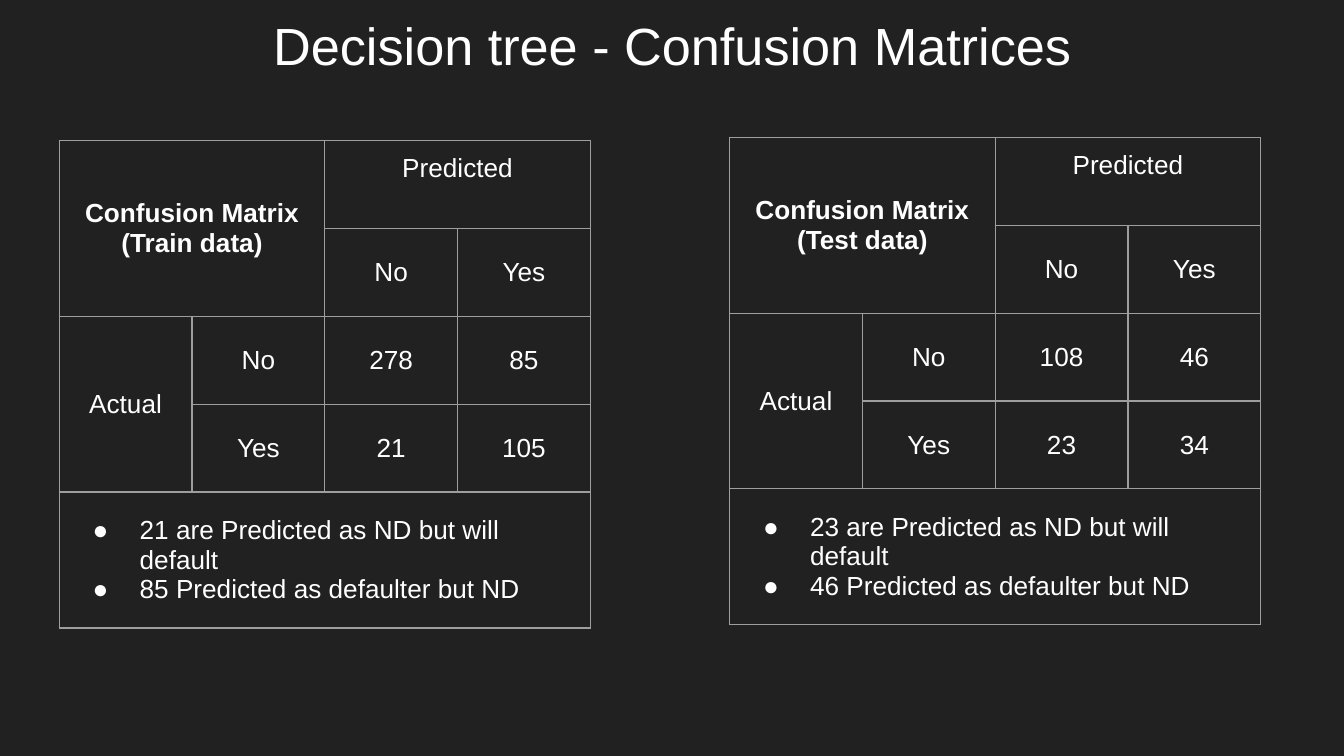
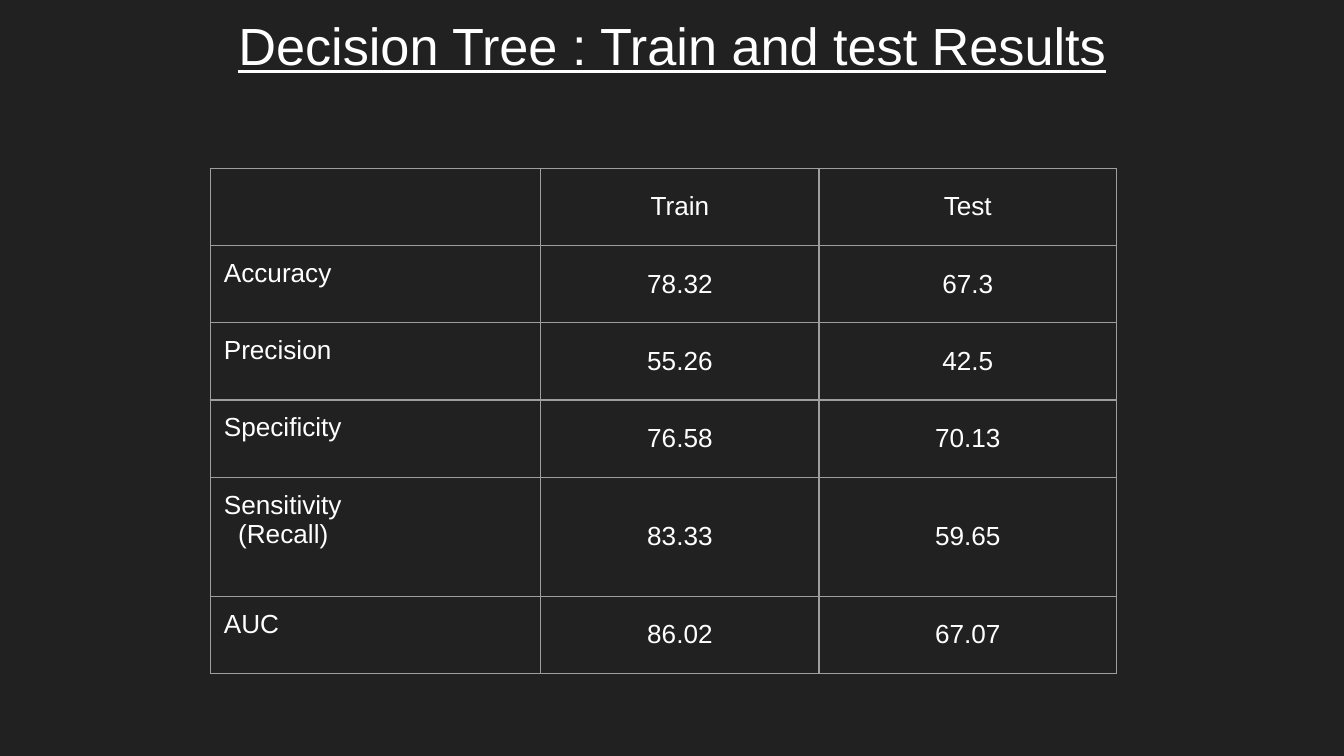
import pptx
import pptx.util
import pptx.dml.color
import pptx.enum.text
import pptx.oxml
import pptx.oxml.ns

Cm = pptx.util.Cm
Pt = pptx.util.Pt
RGBColor = pptx.dml.color.RGBColor
Align = pptx.enum.text.PP_ALIGN
Anchor = pptx.enum.text.MSO_ANCHOR

BACKGROUND = RGBColor(0x21, 0x21, 0x21)
INK = RGBColor(0xFF, 0xFF, 0xFF)
RULE = RGBColor(0x9E, 0x9E, 0x9E)
FONT = "Arial"
INSET = Cm(0.25)
NAMESPACE = pptx.oxml.ns.nsdecls("a")


def write_text(frame, lines, size=14, bold=False, underline=False,
               align=Align.CENTER, bullet=False, last_indent=0):
    frame.text = "\n".join(lines)
    for paragraph in frame.paragraphs:
        paragraph.alignment = align
        paragraph.font.size = Pt(size)
        for run in paragraph.runs:
            run.font.name = FONT
            run.font.size = Pt(size)
            run.font.bold = bold
            run.font.underline = underline
            run.font.color.rgb = INK
        if bullet:
            properties = paragraph._p.get_or_add_pPr()
            properties.set("marL", str(Cm(1.27)))
            properties.set("indent", str(-Cm(0.89)))
            for tag in (f'<a:buClr {NAMESPACE}><a:srgbClr val="{INK}"/></a:buClr>',
                        f'<a:buFont {NAMESPACE} typeface="{FONT}"/>',
                        f'<a:buChar {NAMESPACE} char="●"/>'):
                properties.append(pptx.oxml.parse_xml(tag))
    if last_indent:
        frame.paragraphs[-1]._p.get_or_add_pPr().set("marL", str(last_indent))


class Deck:
    def __init__(self):
        self.presentation = pptx.Presentation()
        self.presentation.slide_width = Cm(25.4)
        self.presentation.slide_height = Cm(14.29)
        fill = self.presentation.slide_master.background.fill
        fill.solid()
        fill.fore_color.rgb = BACKGROUND
        self.slide = None

    def start_slide(self, heading, underline=False):
        self.slide = self.presentation.slides.add_slide(
            self.presentation.slide_layouts[5])
        title = self.slide.shapes.title
        title.left, title.top = Cm(0), Cm(0)
        title.width, title.height = self.presentation.slide_width, Cm(1.6)
        frame = title.text_frame
        frame.auto_size = pptx.enum.text.MSO_AUTO_SIZE.NONE
        frame.vertical_anchor = Anchor.TOP
        frame.margin_left = frame.margin_right = INSET
        frame.margin_top = frame.margin_bottom = INSET
        write_text(frame, [heading], size=28, underline=underline)

    def grid(self, left, top, widths, heights):
        table = self.slide.shapes.add_table(
            len(heights), len(widths), Cm(left), Cm(top),
            Cm(sum(widths)), Cm(sum(heights))).table
        table.first_row = table.horz_banding = False
        for column, width in zip(table.columns, widths):
            column.width = Cm(width)
        for row, height in zip(table.rows, heights):
            row.height = Cm(height)
        for cell in table.iter_cells():
            self.rule_cell(cell)
            write_text(cell.text_frame, [""])
        return table

    def rule_cell(self, cell):
        properties = cell._tc.get_or_add_tcPr()
        for side in "LRTB":
            properties.append(pptx.oxml.parse_xml(
                f'<a:ln{side} {NAMESPACE} w="{Pt(0.75)}"><a:solidFill>'
                f'<a:srgbClr val="{RULE}"/></a:solidFill></a:ln{side}>'))
        cell.fill.background()
        cell.margin_left = cell.margin_right = INSET
        cell.margin_top = cell.margin_bottom = INSET

    def fill_cell(self, cell, *lines, anchor=Anchor.MIDDLE, **style):
        cell.vertical_anchor = anchor
        write_text(cell.text_frame, lines, **style)

    def confusion_matrix(self, left, top, sample, counts):
        table = self.grid(left, top, [2.51] * 4, [1.66] * 4 + [2.57])
        for start, end in (((0, 0), (1, 1)), ((0, 2), (0, 3)),
                           ((2, 0), (3, 0)), ((4, 0), (4, 3))):
            table.cell(*start).merge(table.cell(*end))
        self.fill_cell(table.cell(0, 0), "Confusion Matrix", f"({sample} data)",
                       bold=True)
        self.fill_cell(table.cell(0, 2), "Predicted", anchor=Anchor.TOP)
        self.fill_cell(table.cell(2, 0), "Actual")
        for i, label in enumerate(("No", "Yes"), start=2):
            self.fill_cell(table.cell(1, i), label)
            self.fill_cell(table.cell(i, 1), label)
            for j, count in enumerate(counts[i - 2], start=2):
                self.fill_cell(table.cell(i, j), str(count))
        missed, false_alarms = counts[1][0], counts[0][1]
        self.fill_cell(table.cell(4, 0),
                       f"{missed} are Predicted as ND but will default",
                       f"{false_alarms} Predicted as defaulter but ND",
                       align=Align.LEFT, bullet=True)

    def results_table(self, left, top, samples, metrics):
        heights = [1.46] + [2.25 if len(names) > 1 else 1.46
                            for names, _ in metrics]
        table = self.grid(left, top, [6.24, 5.26, 5.62], heights)
        for column, sample in enumerate(samples, start=1):
            self.fill_cell(table.cell(0, column), sample)
        for row, (names, scores) in enumerate(metrics, start=1):
            self.fill_cell(table.cell(row, 0), *names, anchor=Anchor.TOP,
                           align=Align.LEFT,
                           last_indent=Cm(0.27) if len(names) > 1 else 0)
            for column, score in enumerate(scores, start=1):
                self.fill_cell(table.cell(row, column), str(score))


deck = Deck()

deck.start_slide("Decision tree - Confusion Matrices")
deck.confusion_matrix(1.12, 2.66, "Train", [(278, 85), (21, 105)])
deck.confusion_matrix(13.79, 2.6, "Test", [(108, 46), (23, 34)])

deck.start_slide("Decision Tree : Train and test Results", underline=True)
deck.results_table(3.98, 3.18, ("Train", "Test"), [
    (["Accuracy"], (78.32, 67.3)),
    (["Precision"], (55.26, 42.5)),
    (["Specificity"], (76.58, 70.13)),
    (["Sensitivity", "(Recall)"], (83.33, 59.65)),
    (["AUC"], (86.02, 67.07)),
])

deck.presentation.save("out.pptx")
